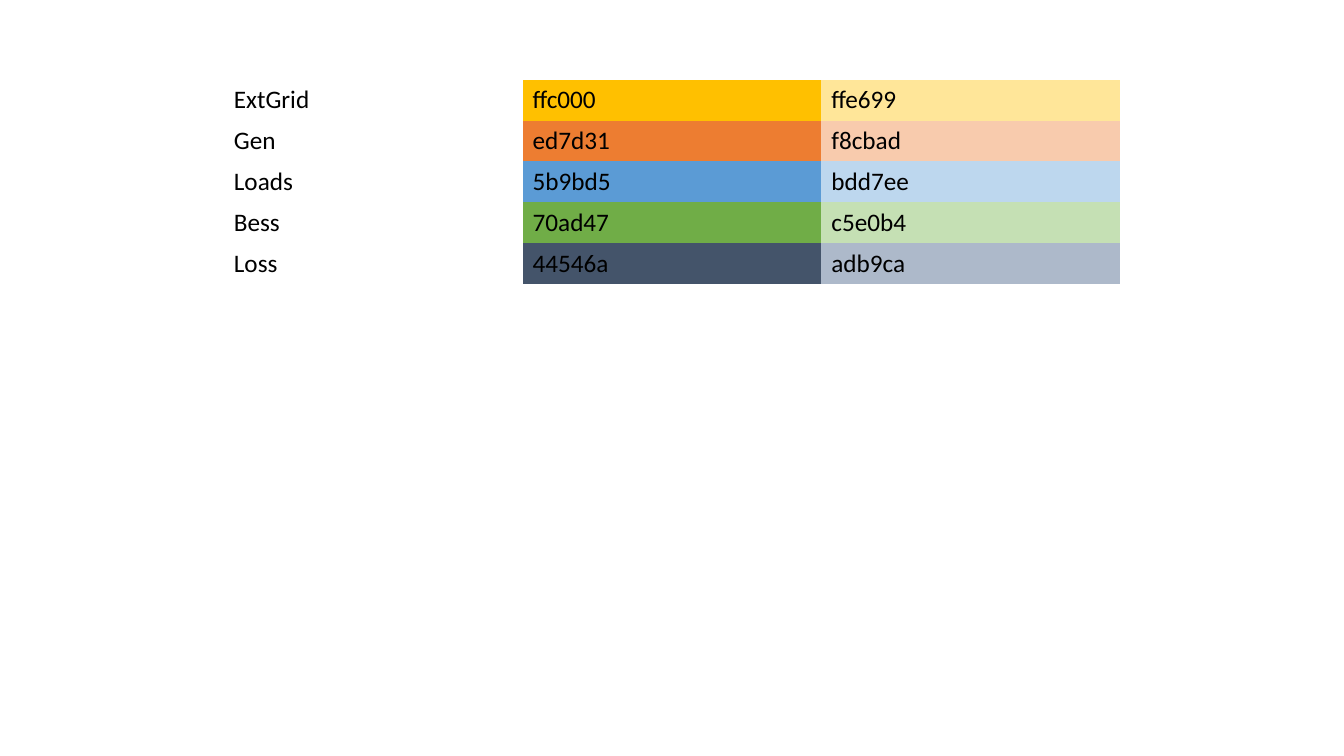
import dataclasses

import pptx
import pptx.dml.color
import pptx.oxml.ns
import pptx.util

Inches = pptx.util.Inches
RGBColor = pptx.dml.color.RGBColor


@dataclasses.dataclass(frozen=True)
class Theme:
    font: str = "Calibri"
    body_size: int = 18
    text: str = "000000"
    plain_table_style: str = "{2D5ABB26-0587-4C30-8999-92F81FD0307C}"
    # Component: (main shade, light shade), written as the slide shows them
    palette: tuple = (
        ("ExtGrid", "ffc000", "ffe699"),
        ("Gen", "ed7d31", "f8cbad"),
        ("Loads", "5b9bd5", "bdd7ee"),
        ("Bess", "70ad47", "c5e0b4"),
        ("Loss", "44546a", "adb9ca"),
    )


class SlideBuilder:
    def __init__(self, slide, theme):
        self.slide = slide
        self.theme = theme

    def cell(self, cell, text, fill=None):
        paragraph = cell.text_frame.paragraphs[0]
        paragraph.text = text
        paragraph.font.name = self.theme.font
        paragraph.font.size = pptx.util.Pt(self.theme.body_size)
        paragraph.font.color.rgb = RGBColor.from_string(self.theme.text)
        if fill is None:
            cell.fill.background()
        else:
            cell.fill.solid()
            cell.fill.fore_color.rgb = RGBColor.from_string(fill.upper())

    def palette_table(self, left, top, width, height):
        """Add one row per component: its name, then cells filled with the shade they name."""
        palette = self.theme.palette
        table = self.slide.shapes.add_table(
            len(palette), len(palette[0]),
            Inches(left), Inches(top), Inches(width), Inches(height),
        ).table
        table.first_row = False
        table.horz_banding = False
        style_id = table._tbl.tblPr.find(pptx.oxml.ns.qn("a:tableStyleId"))
        style_id.text = self.theme.plain_table_style
        for row, (component, *shades) in enumerate(palette):
            self.cell(table.cell(row, 0), component)
            for column, shade in enumerate(shades, start=1):
                self.cell(table.cell(row, column), shade, fill=shade)


def main():
    presentation = pptx.Presentation()
    presentation.slide_width = Inches(13.33)
    presentation.slide_height = Inches(7.5)
    blank_layout = presentation.slide_layouts[6]
    builder = SlideBuilder(presentation.slides.add_slide(blank_layout), Theme())
    builder.palette_table(left=2.22, top=0.79, width=8.89, height=2.03)
    presentation.save("out.pptx")


if __name__ == "__main__":
    main()
